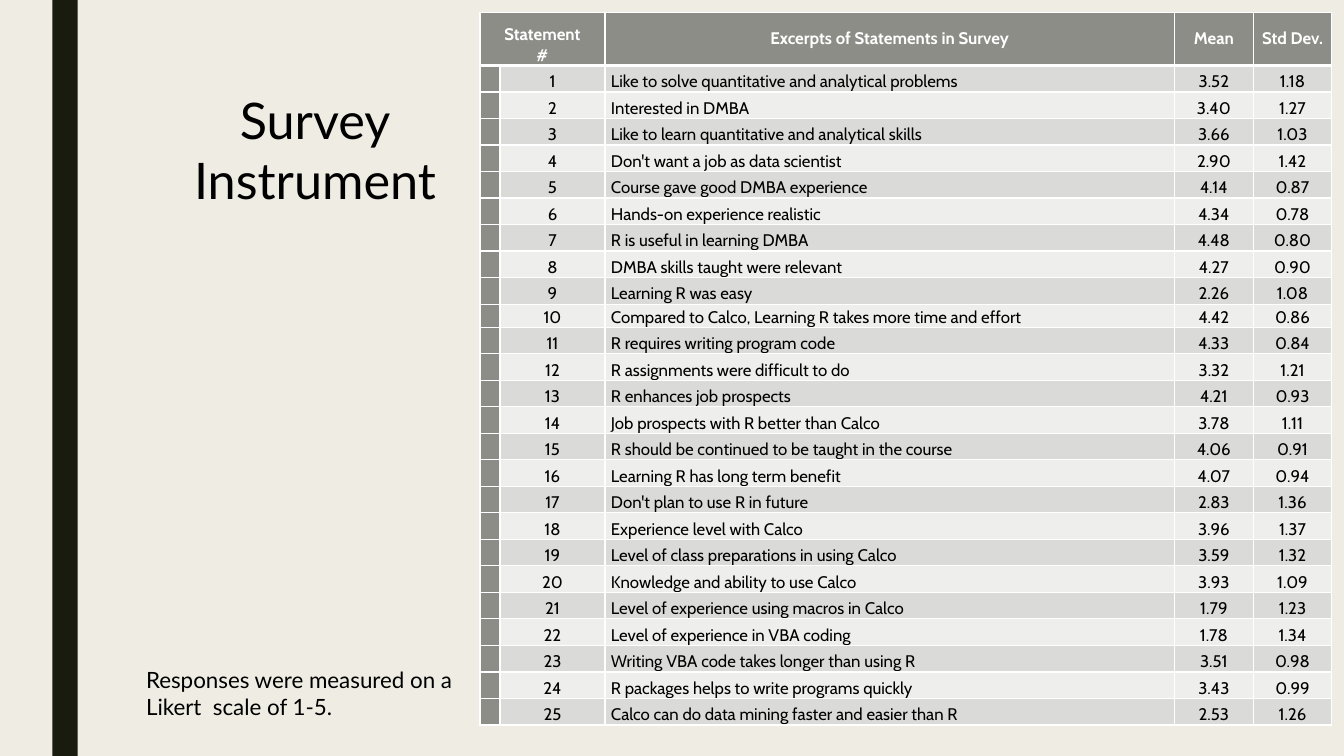
"""Build the survey instrument slide with its table of statements."""
import dataclasses
import typing

import lxml.etree
import pptx
import pptx.dml.color
import pptx.enum.shapes
import pptx.enum.text
import pptx.oxml.ns
import pptx.util

Inches = pptx.util.Inches
ALIGN = pptx.enum.text.PP_ALIGN
ANCHOR = pptx.enum.text.MSO_ANCHOR
HUES = {
    "page": "EFEDE3", "bar": "191B0E", "head": "8C8D86", "odd": "DADBD9",
    "even": "EEEEED", "white": "FFFFFF", "black": "000000",
}
COLS = [0.2, 1.04, 5.65, 0.78, 0.78]
HEADS = ["Statement\n#", "", "Excerpts of Statements in Survey", "Mean", "Std Dev."]
HEAD_TALL, TENTH_TALL, TABLE_TALL = 0.53, 0.23, 7.08


@dataclasses.dataclass
class Item:
    text: str
    mean: str
    dev: str


@dataclasses.dataclass
class Style:
    font: str
    size: int
    hue: str
    bold: bool = False
    align: typing.Any = ALIGN.LEFT


ITEMS = [
    Item("Like to solve quantitative and analytical problems", "3.52", "1.18"),
    Item("Interested in DMBA", "3.40", "1.27"),
    Item("Like to learn quantitative and analytical skills", "3.66", "1.03"),
    Item("Don't want a job as data scientist", "2.90", "1.42"),
    Item("Course gave good DMBA experience", "4.14", "0.87"),
    Item("Hands-on experience realistic", "4.34", "0.78"),
    Item("R is useful in learning DMBA", "4.48", "0.80"),
    Item("DMBA skills taught were relevant", "4.27", "0.90"),
    Item("Learning R was easy", "2.26", "1.08"),
    Item("Compared to Calco, Learning R takes more time and effort", "4.42", "0.86"),
    Item("R requires writing program code", "4.33", "0.84"),
    Item("R assignments were difficult to do", "3.32", "1.21"),
    Item("R enhances job prospects", "4.21", "0.93"),
    Item("Job prospects with R better than Calco", "3.78", "1.11"),
    Item("R should be continued to be taught in the course", "4.06", "0.91"),
    Item("Learning R has long term benefit", "4.07", "0.94"),
    Item("Don't plan to use R in future", "2.83", "1.36"),
    Item("Experience level with Calco", "3.96", "1.37"),
    Item("Level of class preparations in using Calco", "3.59", "1.32"),
    Item("Knowledge and ability to use Calco", "3.93", "1.09"),
    Item("Level of experience using macros in Calco", "1.79", "1.23"),
    Item("Level of experience in VBA coding", "1.78", "1.34"),
    Item("Writing VBA code takes longer than using R", "3.51", "0.98"),
    Item("R packages helps to write programs quickly", "3.43", "0.99"),
    Item("Calco can do data mining faster and easier than R", "2.53", "1.26"),
]


def color(name: str) -> pptx.dml.color.RGBColor:
    return pptx.dml.color.RGBColor.from_string(HUES[name])


def paint(fill: typing.Any, name: str) -> None:
    fill.solid()
    fill.fore_color.rgb = color(name)


def write(frame: typing.Any, text: str, style: Style) -> None:
    frame.text = text
    for para in frame.paragraphs:
        para.alignment = style.align
        for run in para.runs:
            run.font.name = style.font
            run.font.size = pptx.util.Pt(style.size)
            run.font.bold = style.bold
            run.font.color.rgb = color(style.hue)
        if not para.runs:
            end = lxml.etree.SubElement(para._p, pptx.oxml.ns.qn("a:endParaRPr"))
            end.set("sz", str(style.size * 100))


def edge(cell: typing.Any, base: int) -> None:
    props = cell._tc.get_or_add_tcPr()
    for spot, (side, width) in enumerate({"L": 1, "R": 1, "T": 1, "B": base}.items()):
        line = lxml.etree.Element(pptx.oxml.ns.qn(f"a:ln{side}"), w=str(pptx.util.Pt(width)))
        fill = lxml.etree.SubElement(line, pptx.oxml.ns.qn("a:solidFill"))
        lxml.etree.SubElement(fill, pptx.oxml.ns.qn("a:srgbClr"), val=HUES["white"])
        props.insert(spot, line)


def draw_cell(cell: typing.Any, text: str, style: Style, hue: str,
              anchor: typing.Any, base: int = 1) -> None:
    cell.margin_left = cell.margin_right = Inches(0.06)
    cell.margin_top = cell.margin_bottom = 0
    cell.vertical_anchor = anchor
    write(cell.text_frame, text, style)
    paint(cell.fill, hue)
    edge(cell, base)


def draw_table(slide: typing.Any) -> None:
    table = slide.shapes.add_table(
        len(ITEMS) + 1, len(COLS), Inches(4.76), Inches(0.12),
        Inches(sum(COLS)), Inches(TABLE_TALL)).table
    for col, width in zip(table.columns, COLS):
        col.width = Inches(width)
    step = (TABLE_TALL - HEAD_TALL - TENTH_TALL) / (len(ITEMS) - 1)
    special = {0: HEAD_TALL, 10: TENTH_TALL}
    for num, row in enumerate(table.rows):
        row.height = Inches(special.get(num, step))

    head = Style("Cabin", 12, "white", True, ALIGN.CENTER)
    for col, text in enumerate(HEADS):
        anchor = ANCHOR.BOTTOM if col == 0 else ANCHOR.MIDDLE
        draw_cell(table.cell(0, col), text, head, "head", anchor, 3)
    table.cell(0, 0).merge(table.cell(0, 1))

    left = Style("Cabin", 12, "black")
    mid = dataclasses.replace(left, align=ALIGN.CENTER)
    for num, item in enumerate(ITEMS, 1):
        band = "odd" if num % 2 else "even"
        for col, text in enumerate(["", str(num), item.text, item.mean, item.dev]):
            draw_cell(table.cell(num, col), text, left if col == 2 else mid,
                      band if col else "head", ANCHOR.BOTTOM)


def draw_title(slide: typing.Any) -> None:
    title = slide.shapes.title
    title.left, title.top = Inches(1.79), Inches(0.83)
    title.width, title.height = Inches(2.67), Inches(1.31)
    frame = title.text_frame
    frame.word_wrap = False
    frame.auto_size = pptx.enum.text.MSO_AUTO_SIZE.NONE
    frame.vertical_anchor = ANCHOR.TOP
    write(frame, "Survey\nInstrument", Style("Lato", 36, "black", align=ALIGN.CENTER))


def draw_note(slide: typing.Any) -> None:
    note = slide.shapes.add_textbox(Inches(1.35), Inches(6.56), Inches(3.51), Inches(0.64))
    note.text_frame.word_wrap = True
    write(note.text_frame, "Responses were measured on a Likert  scale of 1-5.",
          Style("Lato", 16, "black"))


def draw_bar(slide: typing.Any) -> None:
    bar = slide.shapes.add_shape(
        pptx.enum.shapes.MSO_SHAPE.RECTANGLE, Inches(0.52), 0, Inches(0.25), Inches(7.5))
    bar.shadow.inherit = False
    paint(bar.fill, "bar")
    bar.line.fill.background()


def main() -> None:
    deck = pptx.Presentation()
    deck.slide_width, deck.slide_height = Inches(13.33), Inches(7.5)
    slide = deck.slides.add_slide(deck.slide_layouts.get_by_name("Title Only"))
    paint(slide.background.fill, "page")
    draw_bar(slide)
    draw_title(slide)
    draw_note(slide)
    draw_table(slide)
    deck.save("out.pptx")


if __name__ == "__main__":
    main()
